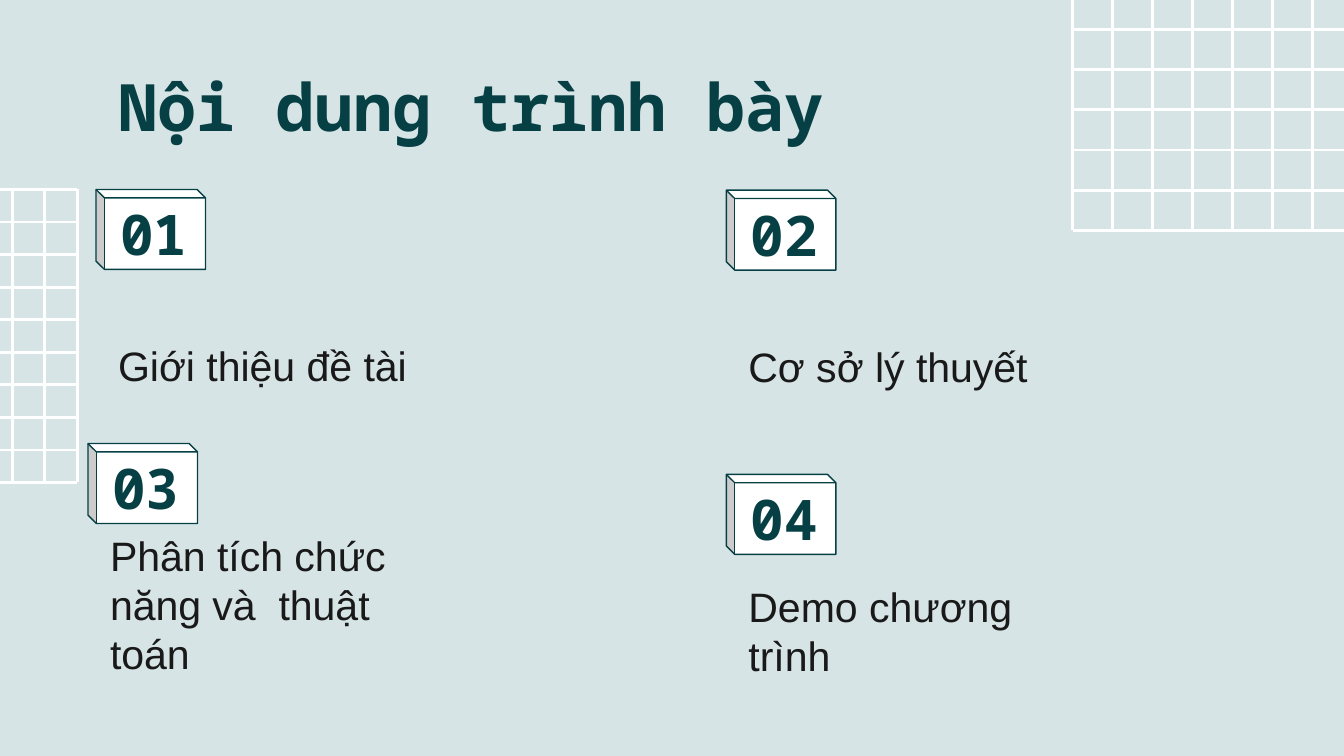
from pptx import Presentation
from pptx.dml.color import RGBColor
from pptx.enum.shapes import MSO_CONNECTOR, MSO_SHAPE
from pptx.enum.text import MSO_ANCHOR, MSO_AUTO_SIZE, PP_ALIGN
from pptx.oxml.ns import qn
from pptx.util import Pt
from lxml.etree import SubElement

PX = 4572
WIDE, HIGH = 2000, 1125
INK, TEXT, WHITE, BACK = "064045", "191919", "FFFFFF", "D7E4E6"
MONO, SANS = "Noto Sans Mono", "Arial"


def px(*sizes):
    return [round(size * PX) for size in sizes]


def color(code):
    return RGBColor.from_string(code)


def write(shape, text, size, font, code, bold, anchor):
    frame = shape.text_frame
    frame.text = text
    frame.word_wrap = True
    frame.auto_size = MSO_AUTO_SIZE.NONE
    frame.vertical_anchor = anchor
    frame.margin_left = frame.margin_right = px(20)[0]
    frame.margin_top = frame.margin_bottom = px(20)[0]
    line = frame.paragraphs[0]
    line.alignment = PP_ALIGN.LEFT
    face = line.runs[0].font
    face.size, face.name, face.bold = Pt(size), font, bold
    face.color.rgb = color(code)


def rule(slide, x1, y1, x2, y2):
    line = slide.shapes.add_connector(MSO_CONNECTOR.STRAIGHT, *px(x1, y1, x2, y2))
    line.line.color.rgb = color(WHITE)
    line.line.width = Pt(1.5)
    SubElement(line._element.spPr, qn("a:effectLst"))


def grid(slide, left, top, width, height, cells=9):
    for i in range(cells + 1):
        x = left + width * i / cells
        y = top + height * i / cells
        if 0 <= y <= HIGH:
            rule(slide, left, y, left + width, y)
        if 0 <= x <= WIDE:
            rule(slide, x, top, x, top + height)


def title(slide, left, top, width, height):
    head = slide.shapes.title
    head.left, head.top, head.width, head.height = px(left, top, width, height)
    write(head, "Nội dung trình bày", 35, MONO, INK, True, MSO_ANCHOR.MIDDLE)


def cube(slide, left, top):
    box = slide.shapes.add_shape(MSO_SHAPE.CUBE, *px(left, top, 163, 119))
    box.adjustments[0] = 0.105
    box.shadow.inherit = False
    box.fill.solid()
    box.fill.fore_color.rgb = color(WHITE)
    box.line.color.rgb = color(INK)
    box.line.width = Pt(0.75)
    box._element.spPr.find(qn("a:xfrm")).set("flipH", "1")


def topic(slide, left, top, number, text, drop, height):
    cube(slide, left, top)
    label = slide.shapes.add_textbox(*px(left + 16, top + 25, 178, 80))
    write(label, number, 30, MONO, INK, True, MSO_ANCHOR.MIDDLE)
    body = slide.shapes.add_textbox(*px(left + 13, top + drop, 498, height))
    write(body, text, 22, SANS, TEXT, False, MSO_ANCHOR.BOTTOM)


def main():
    deck = Presentation()
    deck.slide_width, deck.slide_height = px(WIDE, HIGH)
    slide = deck.slides.add_slide(deck.slide_layouts[5])
    slide.background.fill.solid()
    slide.background.fill.fore_color.rgb = color(BACK)
    grid(slide, -319, 282, 434, 436)
    grid(slide, 1596, -196, 536, 539)
    title(slide, 156, 87, 1688, 140)
    topics = [
        (143, 282, "Giới thiệu đề tài", 152, 166),
        (1081, 283, "Cơ sở lý thuyết", 152, 166),
        (131, 660, "Phân tích chức năng và  thuật toán", 151, 218),
        (1081, 706, "Demo chương trình", 152, 174),
    ]
    for i, (left, top, text, drop, height) in enumerate(topics, 1):
        topic(slide, left, top, f"{i:02}", text, drop, height)
    deck.save("out.pptx")


if __name__ == "__main__":
    main()
